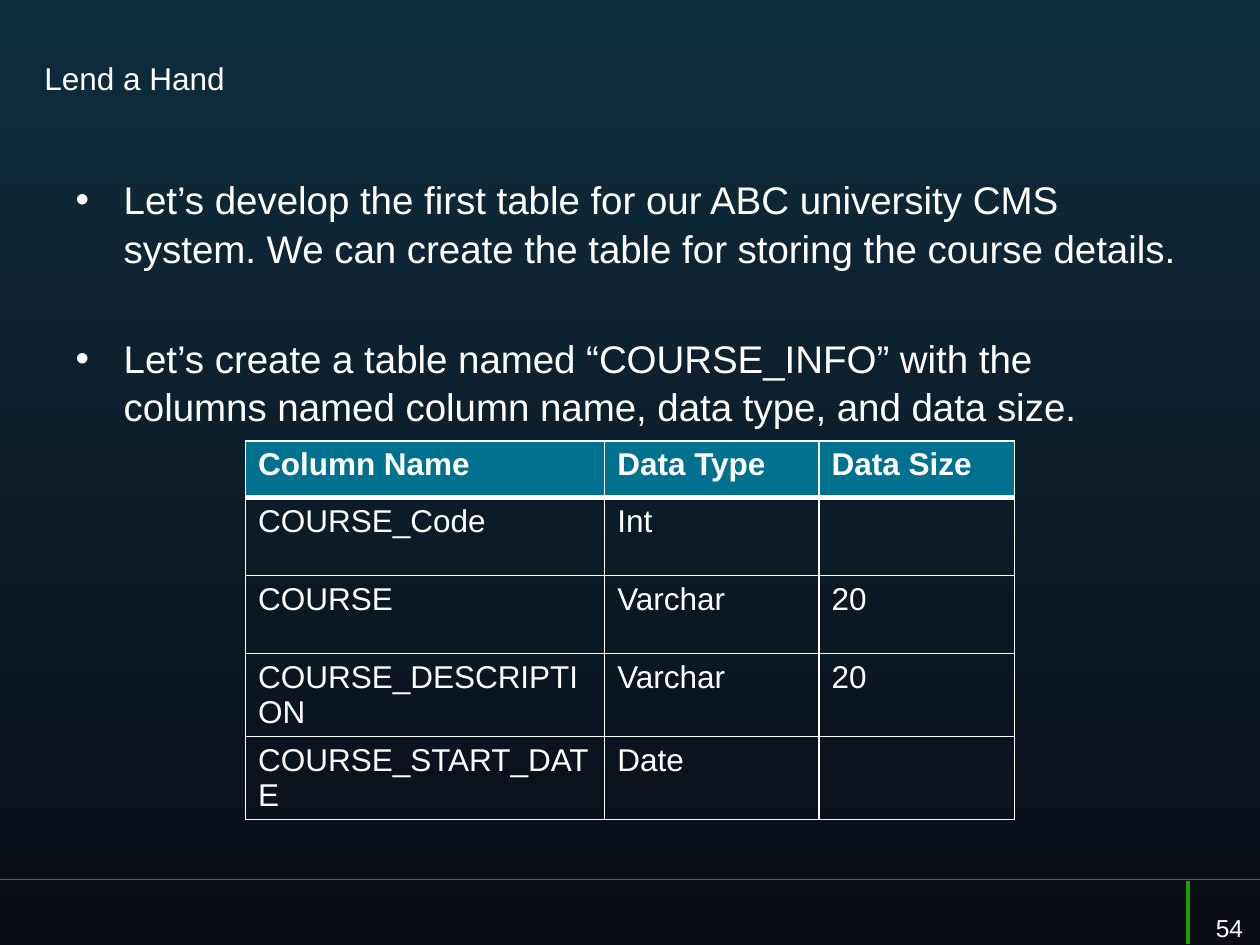
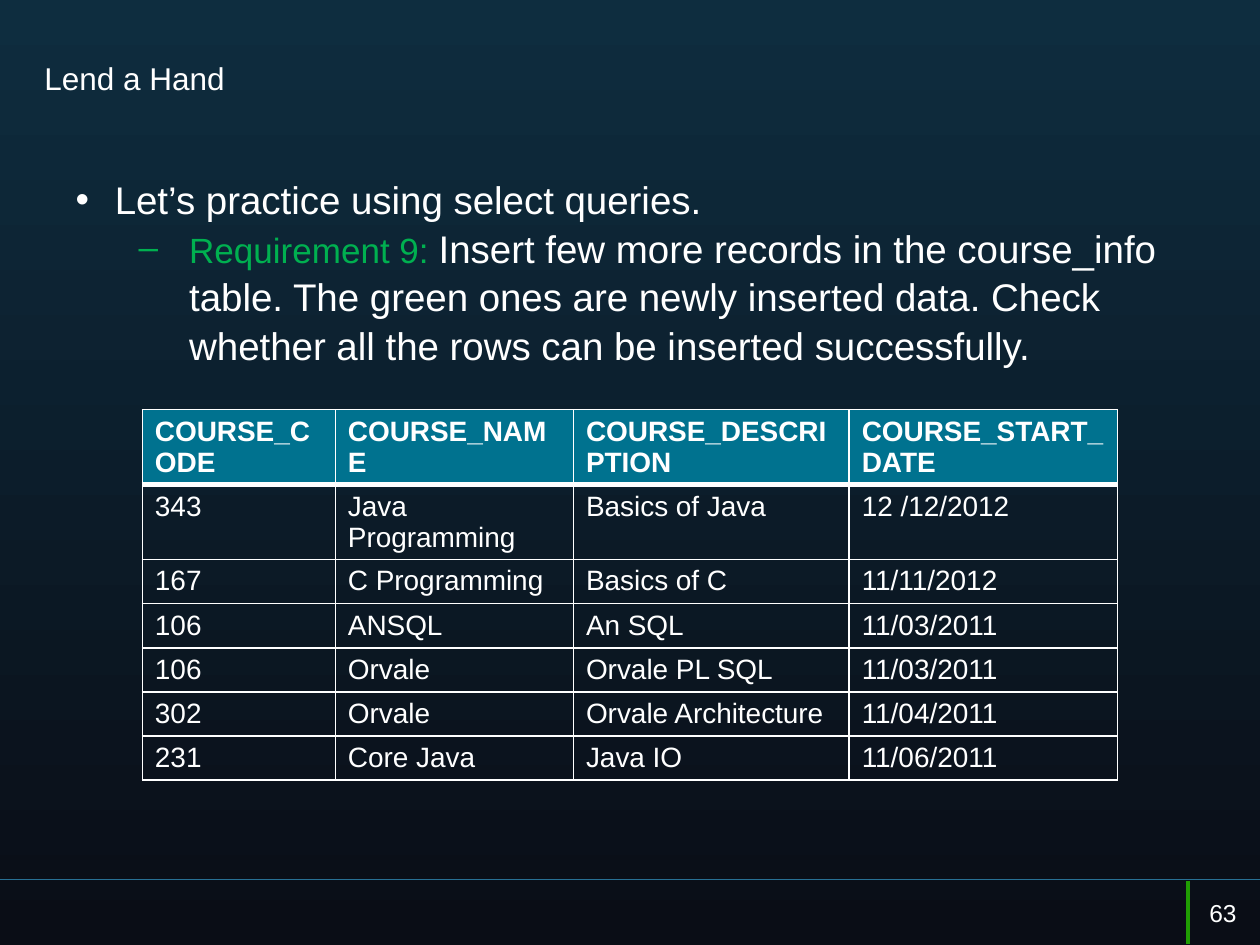
from lxml import etree
from pptx import Presentation
from pptx.dml.color import RGBColor
from pptx.enum.shapes import MSO_CONNECTOR
from pptx.enum.text import MSO_ANCHOR, MSO_AUTO_SIZE, PP_ALIGN
from pptx.oxml.ns import qn
from pptx.util import Cm, Pt

LINE = MSO_CONNECTOR.STRAIGHT
MIDDLE, TOP = MSO_ANCHOR.MIDDLE, MSO_ANCHOR.TOP
FIXED = MSO_AUTO_SIZE.NONE
LEFT = PP_ALIGN.LEFT

WHITE = RGBColor(0xFF, 0xFF, 0xFF)
NAVY = RGBColor(0x0E, 0x2D, 0x3F)
NIGHT = RGBColor(0x0A, 0x0D, 0x16)
TEAL = RGBColor(0x00, 0x72, 0x8F)
STEEL = RGBColor(0x28, 0x70, 0x94)
LIME = RGBColor(0x20, 0x9D, 0x03)
GREEN = RGBColor(0x00, 0xB0, 0x50)
FONT = "Arial"

RULES = [
    (25.4, 17.73, 0, 17.73, STEEL, 0.75),
    (23.95, 17.75, 23.95, 19.02, LIME, 2),
]

PAGES = [
    {
        "list": [
            (0, "•", 0.97, 0.97, 4.4, [
                ("Let’s develop the first table for our ABC university CMS system. "
                 "We can create the table for storing the course details.", 22, WHITE)]),
            (0, "•", 0.97, 0.97, 35.2, [
                ("Let’s create a table named “COURSE_INFO” with the columns named "
                 "column name, data type, and data size.", 22, WHITE)]),
        ],
        "spot": (4.95, 8.89),
        "cols": [7.24, 4.32, 3.94],
        "high": (1.14, 1.57),
        "size": 18,
        "rows": [
            ("Column Name", "Data Type", "Data Size"),
            ("COURSE_Code", "Int", ""),
            ("COURSE", "Varchar", "20"),
            ("COURSE_DESCRIPTION", "Varchar", "20"),
            ("COURSE_START_DATE", "Date", ""),
        ],
        "num": ("54", 24.26, 18.29),
    },
    {
        "list": [
            (0, "•", 0.79, 0.79, 4.4, [
                ("Let’s practice using select queries.", 22, WHITE)]),
            (1, "–", 2.29, 1.02, 0, [
                ("Requirement 9: ", 20, GREEN),
                ("Insert few more records in the course_info table. The green ones "
                 "are newly inserted data. Check whether all the rows can be "
                 "inserted successfully.", 22, WHITE)]),
        ],
        "spot": (2.87, 8.26),
        "cols": [3.89, 4.8, 5.56, 5.41],
        "high": (0.84, 0.89),
        "size": 16,
        "rows": [
            ("COURSE_CODE", "COURSE_NAME", "COURSE_DESCRIPTION", "COURSE_START_DATE"),
            ("343", "Java Programming", "Basics of Java", "12 /12/2012"),
            ("167", "C Programming", "Basics of C", "11/11/2012"),
            ("106", "ANSQL", "An SQL", "11/03/2011"),
            ("106", "Orvale", "Orvale PL SQL", "11/03/2011"),
            ("302", "Orvale", "Orvale Architecture", "11/04/2011"),
            ("231", "Core Java", "Java IO", "11/06/2011"),
        ],
        "num": ("63", 24.13, 17.98),
    },
]


def add_run(para, text, size, color=WHITE, bold=False):
    run = para.add_run()
    run.text = text
    run.font.name = FONT
    run.font.size = Pt(size)
    run.font.bold = bold
    run.font.color.rgb = color


def add_edge(cell, side, width):
    edge = etree.SubElement(cell._tc.get_or_add_tcPr(), qn("a:" + side), w=str(Pt(width)))
    fill = etree.SubElement(edge, qn("a:solidFill"))
    etree.SubElement(fill, qn("a:srgbClr"), val=str(WHITE))


prs = Presentation()
prs.slide_width, prs.slide_height = Cm(25.4), Cm(19.05)

back = prs.slide_master.background.fill
back.gradient()
back.gradient_angle = 270
for stop, color in zip(back.gradient_stops, (NAVY, NIGHT)):
    stop.color.rgb = color

for page in PAGES:
    slide = prs.slides.add_slide(prs.slide_layouts[1])

    for x1, y1, x2, y2, color, width in RULES:
        rule = slide.shapes.add_connector(LINE, Cm(x1), Cm(y1), Cm(x2), Cm(y2))
        rule.line.color.rgb = color
        rule.line.width = Pt(width)
        etree.SubElement(rule._element.spPr, qn("a:effectLst"))

    title, body = slide.shapes.title, slide.placeholders[1]
    for shape, box, anchor in (
        (title, (0.64, 0.84, 19.05, 1.47), MIDDLE),
        (body, (1.27, 3.38, 22.86, 13.64), TOP),
    ):
        shape.left, shape.top, shape.width, shape.height = map(Cm, box)
        shape.text_frame.auto_size = FIXED
        shape.text_frame.vertical_anchor = anchor

    para = title.text_frame.paragraphs[0]
    para.alignment = LEFT
    add_run(para, "Lend a Hand", 18)

    frame = body.text_frame
    for i, (level, mark, left, hang, gap, runs) in enumerate(page["list"]):
        para = frame.add_paragraph() if i else frame.paragraphs[0]
        para.level = level
        para.line_spacing = 1.05
        para.space_before = Pt(gap)
        props = para._p.get_or_add_pPr()
        props.set("marL", str(Cm(left)))
        props.set("indent", str(-Cm(hang)))
        etree.SubElement(props, qn("a:buChar"), char=mark)
        for text, size, color in runs:
            add_run(para, text, size, color)

    rows, cols = page["rows"], page["cols"]
    head, rest = page["high"]
    left, top = page["spot"]
    table = slide.shapes.add_table(
        len(rows), len(cols), Cm(left), Cm(top),
        Cm(sum(cols)), Cm(head + rest * (len(rows) - 1))).table
    table.horz_banding = False
    for col, width in zip(table.columns, cols):
        col.width = Cm(width)
    for r, row in enumerate(rows):
        table.rows[r].height = Cm(rest if r else head)
        for c, text in enumerate(row):
            cell = table.cell(r, c)
            for side in ("lnL", "lnR", "lnT", "lnB"):
                thick = (r, side) in ((0, "lnB"), (1, "lnT"))
                add_edge(cell, side, 3 if thick else 1)
            if r:
                cell.fill.background()
            else:
                cell.fill.solid()
                cell.fill.fore_color.rgb = TEAL
            if text:
                add_run(cell.text_frame.paragraphs[0], text, page["size"], bold=r == 0)

    text, left, top = page["num"]
    box = slide.shapes.add_textbox(Cm(left), Cm(top), Cm(1.14), Cm(0.76))
    box.text_frame.word_wrap = True
    add_run(box.text_frame.paragraphs[0], text, 14)

prs.save("out.pptx")
